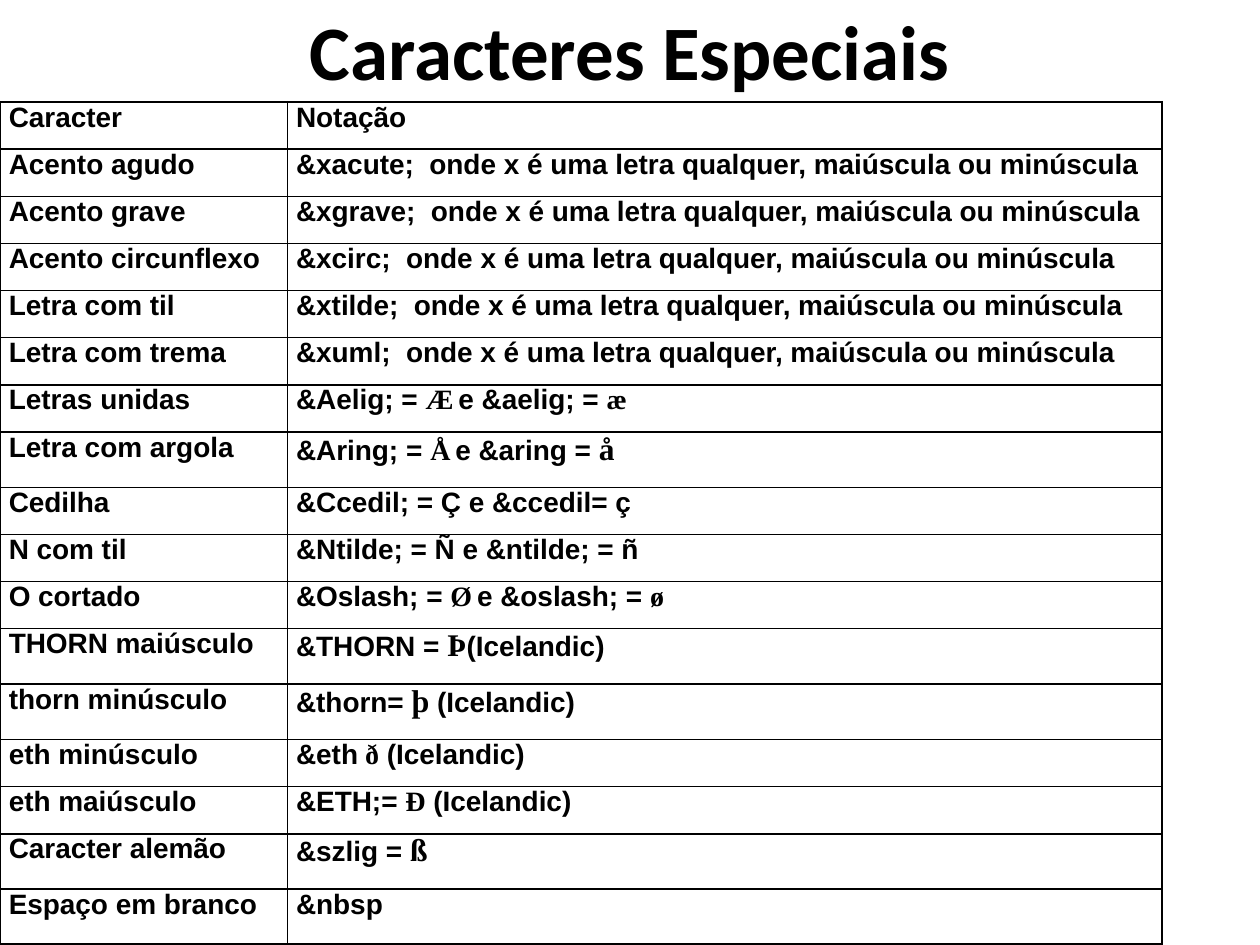
from lxml.etree import SubElement
from pptx import Presentation
from pptx.dml.color import RGBColor
from pptx.enum.text import MSO_ANCHOR, PP_ALIGN
from pptx.oxml.ns import qn
from pptx.util import Inches, Pt

INK = "000000"
SERIF = "Times New Roman"
GAP = (" ", SERIF, 11)
RULE = "onde x é uma letra qualquer, maiúscula ou minúscula"
LOW, HIGH = (6.69 - 5 * 0.44) / 12, 0.44


def glyph(text, size=16):
    return text, SERIF, size


ROWS = [
    (LOW, "Caracter", ["Notação"]),
    (LOW, "Acento agudo", [f"&xacute;  {RULE}"]),
    (LOW, "Acento grave", [f"&xgrave;  {RULE}"]),
    (LOW, "Acento circunflexo", [f"&xcirc;  {RULE}"]),
    (LOW, "Letra com til", [f"&xtilde;  {RULE}"]),
    (LOW, "Letra com trema", [f"&xuml;  {RULE}"]),
    (LOW, "Letras unidas",
     ["&Aelig; = ", glyph("Æ"), GAP, "e &aelig; = ", glyph("æ")]),
    (HIGH, "Letra com argola",
     ["&Aring; = ", glyph("Å"), GAP, "e &aring = ", glyph("å", 18)]),
    (LOW, "Cedilha", ["&Ccedil; = Ç e &ccedil= ç"]),
    (LOW, "N com til", ["&Ntilde; = Ñ e &ntilde; = ñ"]),
    (LOW, "O cortado",
     ["&Oslash; = ", glyph("Ø"), GAP, "e &oslash; = ", glyph("ø")]),
    (HIGH, "THORN maiúsculo", ["&THORN = ", glyph("Þ", 18), "(Icelandic)"]),
    (HIGH, "thorn minúsculo", ["&thorn= ", glyph("þ ", 18), "(Icelandic)"]),
    (LOW, "eth minúsculo", ["&eth", glyph(" ð"), " (Icelandic)"]),
    (LOW, "eth maiúsculo", ["&ETH;= ", glyph("Ð"), " (Icelandic)"]),
    (HIGH, "Caracter alemão", ["&szlig = ", glyph("ß", 18)]),
    (HIGH, "Espaço em branco", ["&nbsp"]),
]


def color(code):
    return RGBColor.from_string(code)


def style(font, name, size):
    font.name = name
    font.size = Pt(size)
    font.bold = True
    font.color.rgb = color(INK)


def add_title(slide, text):
    title = slide.shapes.title
    title.left, title.top = Inches(0.5), Inches(-0.23)
    title.width, title.height = Inches(9), Inches(1.25)
    frame = title.text_frame
    frame.text = text
    frame.vertical_anchor = MSO_ANCHOR.MIDDLE
    para = frame.paragraphs[0]
    para.alignment = PP_ALIGN.CENTER
    style(para.font, "Calibri", 44)


def add_edges(cell, widths):
    props = cell._tc.get_or_add_tcPr()
    for spot, (side, width) in enumerate(widths.items()):
        line = SubElement(props, qn(f"a:ln{side}"), w=str(Pt(width)))
        fill = SubElement(line, qn("a:solidFill"))
        SubElement(fill, qn("a:srgbClr"), val=INK)
        props.insert(spot, line)


def fill_cell(cell, parts):
    cell.fill.background()
    cell.margin_left = cell.margin_right = Inches(0.07)
    cell.margin_top = cell.margin_bottom = 0
    para = cell.text_frame.paragraphs[0]
    style(para.font, "Arial", 16)
    mixed = len(parts) > 1
    for part in parts:
        text, name, size = (part, "Arial", 16) if isinstance(part, str) else part
        run = para.add_run()
        run.text = text
        if mixed:
            style(run.font, name, size)


def add_grid(slide):
    frame = slide.shapes.add_table(
        len(ROWS), 2, 0, Inches(0.81), Inches(9.22), Inches(6.69))
    table = frame.table
    table.first_row = table.horz_banding = False
    for col, width in zip(table.columns, (2.28, 6.94)):
        col.width = Inches(width)
    last = len(ROWS) - 1
    for row, (height, label, parts) in enumerate(ROWS):
        table.rows[row].height = Inches(height)
        for col, runs in enumerate(([label], parts)):
            cell = table.cell(row, col)
            fill_cell(cell, runs)
            outer = {"L": col == 0, "R": col == 1,
                     "T": row == 0, "B": row == last}
            add_edges(cell, {side: 1.5 if edge else 1
                             for side, edge in outer.items()})


def main():
    deck = Presentation()
    deck.slide_width, deck.slide_height = Inches(10), Inches(7.5)
    slide = deck.slides.add_slide(deck.slide_layouts[5])
    add_title(slide, "Caracteres Especiais")
    add_grid(slide)
    deck.save("out.pptx")


if __name__ == "__main__":
    main()
